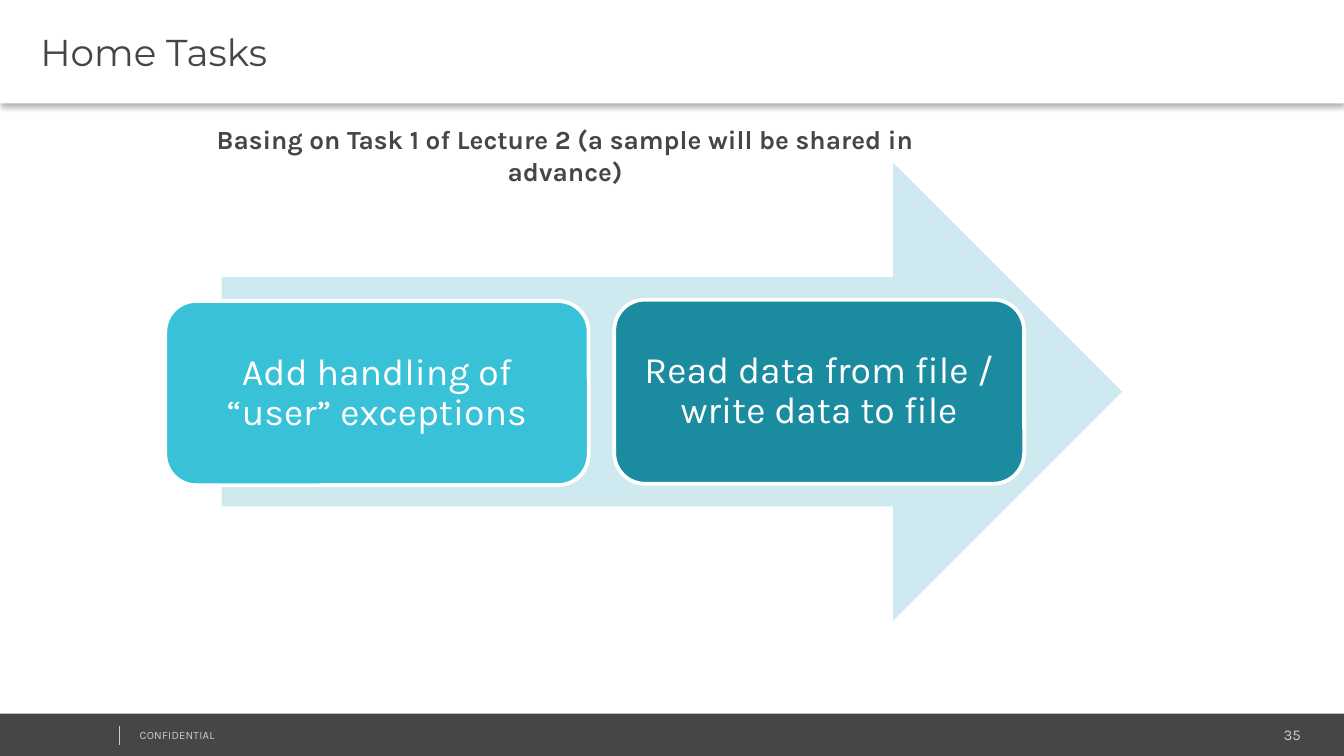
import pptx
import pptx.dml.color
import pptx.enum.shapes
import pptx.enum.text
import pptx.oxml
import pptx.oxml.ns
import pptx.util

Inches = pptx.util.Inches
Pt = pptx.util.Pt
SHAPE = pptx.enum.shapes.MSO_SHAPE
ALIGN = pptx.enum.text.PP_ALIGN
ANCHOR = pptx.enum.text.MSO_ANCHOR

COLORS = {
    "white": "FFFFFF",
    "dark": "464547",
    "muted": "CCCCCC",
    "arrow": "CEE9F0",
    "cyan": "39C2D7",
    "teal": "1B8BA0",
}
TITLE_SHADOW = (
    f'<a:effectLst {pptx.oxml.ns.nsdecls("a")}>'
    '<a:outerShdw blurRad="39370" dist="25400" dir="5400000" rotWithShape="0">'
    '<a:srgbClr val="000000"><a:alpha val="30000"/></a:srgbClr>'
    "</a:outerShdw></a:effectLst>"
)


def rgb(name):
    return pptx.dml.color.RGBColor.from_string(COLORS[name])


def set_text(shape, text, size, color, font="Karla", align=ALIGN.LEFT,
             anchor=ANCHOR.TOP, insets=(0.07, 0.04, 0.07, 0.04),
             bold=False, line_spacing=None):
    """Write one formatted paragraph; insets are left, top, right, bottom."""
    frame = shape.text_frame
    left, top, right, bottom = map(Inches, insets)
    frame_format = {
        "word_wrap": True,
        "auto_size": pptx.enum.text.MSO_AUTO_SIZE.NONE,
        "vertical_anchor": anchor,
        "margin_left": left,
        "margin_top": top,
        "margin_right": right,
        "margin_bottom": bottom,
    }
    for name, value in frame_format.items():
        setattr(frame, name, value)
    paragraph = frame.paragraphs[0]
    paragraph.alignment = align
    paragraph.line_spacing = line_spacing
    run = paragraph.add_run()
    run.text = text
    for name, value in {"name": font, "size": Pt(size), "bold": bold}.items():
        setattr(run.font, name, value)
    run.font.color.rgb = rgb(color)
    return run


def add_label(slide, box, text, size, color, **text_format):
    label = slide.shapes.add_textbox(*map(Inches, box))
    return set_text(label, text, size, color, **text_format)


def add_block(slide, kind, box, fill, line=None):
    block = slide.shapes.add_shape(kind, *map(Inches, box))
    block.shadow.inherit = False
    block.fill.solid()
    block.fill.fore_color.rgb = rgb(fill)
    if line:
        block.line.color.rgb = rgb(line)
        block.line.width = Pt(2)
    else:
        block.line.fill.background()
    return block


def add_task(slide, box, fill, text):
    task = add_block(slide, SHAPE.ROUNDED_RECTANGLE, box, fill, "white")
    set_text(task, text, 20, "white", align=ALIGN.CENTER, anchor=ANCHOR.MIDDLE,
             insets=(0.12, 0.08, 0.12, 0.08), line_spacing=0.9)


def format_title(slide, text):
    title = slide.shapes.title
    title.left, title.top, title.width, title.height = map(Inches, (0, 0, 10, 0.77))
    title.fill.solid()
    title.fill.fore_color.rgb = rgb("white")
    title._element.spPr.append(pptx.oxml.parse_xml(TITLE_SHADOW))
    set_text(title, text, 20, "dark", font="Montserrat", anchor=ANCHOR.MIDDLE,
             insets=(0.3, 0.04, 0.07, 0.04))


def add_footer(slide):
    add_block(slide, SHAPE.RECTANGLE, (0, 5.31, 10.01, 0.33), "dark")
    add_label(slide, (8.12, 5.36, 1.63, 0.21), "35", 8, "muted", align=ALIGN.RIGHT)
    notice = add_label(slide, (0.97, 5.38, 2.53, 0.18), "CONFIDENTIAL", 6, "muted")
    notice.font._element.set("spc", "10")
    divider = slide.shapes.add_connector(
        pptx.enum.shapes.MSO_CONNECTOR.STRAIGHT,
        Inches(0.89), Inches(5.4), Inches(0.89), Inches(5.54))
    divider.line.color.rgb = rgb("muted")
    divider.line.width = Pt(0.25)
    divider._element.spPr.append(pptx.oxml.parse_xml(
        f'<a:effectLst {pptx.oxml.ns.nsdecls("a")}/>'))


def main():
    deck = pptx.Presentation()
    deck.slide_width = Inches(10)
    deck.slide_height = deck.slide_width * 9 // 16
    slide = deck.slides.add_slide(deck.slide_layouts[5])

    add_footer(slide)
    format_title(slide, "Home Tasks")
    add_block(slide, SHAPE.RIGHT_ARROW, (1.65, 1.21, 6.7, 3.41), "arrow")
    add_task(slide, (1.23, 2.24, 3.15, 1.37), "cyan",
             "Add handling of “user” exceptions")
    add_task(slide, (4.57, 2.23, 3.05, 1.37), "teal",
             "Read data from file / write data to file")
    add_label(slide, (1.06, 0.87, 6.29, 0.34),
              "Basing on Task 1 of Lecture 2 (a sample will be shared in advance)",
              14, "dark", align=ALIGN.CENTER, insets=(0.2, 0.05, 0.2, 0.05),
              bold=True)

    deck.save("out.pptx")


if __name__ == "__main__":
    main()
